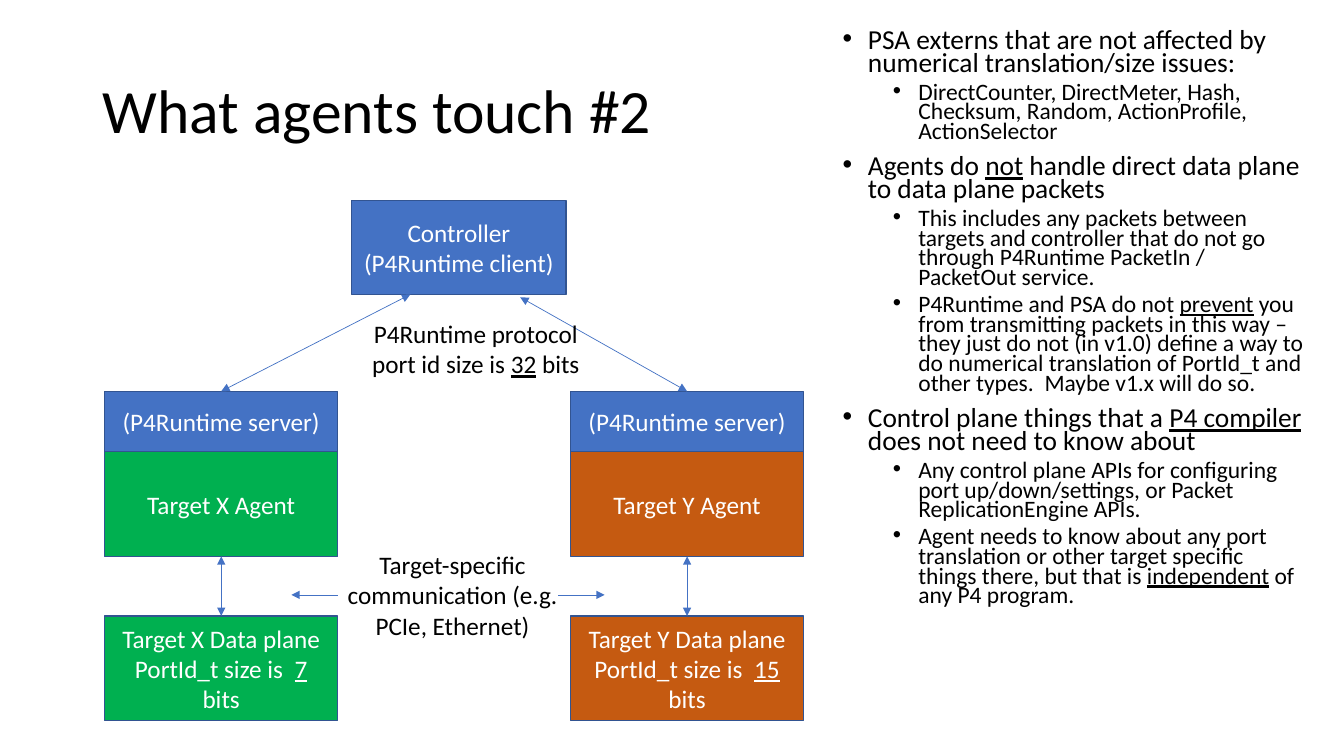
"""Build the slide on what agents touch."""
from dataclasses import dataclass

from lxml.etree import SubElement
from pptx import Presentation
from pptx.dml.color import RGBColor
from pptx.enum.shapes import MSO_CONNECTOR, MSO_SHAPE
from pptx.enum.text import MSO_ANCHOR, MSO_AUTO_SIZE, PP_ALIGN
from pptx.oxml.ns import qn
from pptx.util import Cm, Pt


@dataclass
class Theme:
    font: str = "Calibri"
    black: str = "000000"
    white: str = "FFFFFF"
    blue: str = "4472C4"
    edge: str = "325491"
    green: str = "00B050"
    rust: str = "C55A11"
    head: float = 44
    label: float = 18
    items: tuple = (19.6, 16.8)


class Deck:
    def __init__(self, theme, slide):
        self.theme = theme
        self.slide = slide

    def place(self, shape, area):
        shape.left, shape.top, shape.width, shape.height = map(Cm, area)

    def style(self, par, text, size, color):
        first, *rest = text.split("*")
        par.text = first
        for part in rest:
            par.add_run().text = part
        for i, run in enumerate(par.runs):
            run.font.name = self.theme.font
            run.font.size = Pt(size)
            run.font.color.rgb = RGBColor.from_string(color)
            run.font.underline = i % 2 == 1

    def label(self, frame, text, color):
        frame.word_wrap = True
        frame.vertical_anchor = MSO_ANCHOR.MIDDLE
        frame.text = text
        for par in frame.paragraphs:
            par.alignment = PP_ALIGN.CENTER
            self.style(par, par.text, self.theme.label, color)

    def title(self, text, area):
        shape = self.slide.shapes.title
        self.place(shape, area)
        frame = shape.text_frame
        frame.auto_size = MSO_AUTO_SIZE.NONE
        frame.vertical_anchor = MSO_ANCHOR.MIDDLE
        par = frame.paragraphs[0]
        par.alignment = PP_ALIGN.LEFT
        par.line_spacing = 0.9
        self.style(par, text, self.theme.head, self.theme.black)

    def bullets(self, items, area):
        shape = self.slide.placeholders[1]
        self.place(shape, area)
        frame = shape.text_frame
        frame.auto_size = MSO_AUTO_SIZE.NONE
        frame.text = "\n".join(text for level, text in items)
        for par, (level, text) in zip(frame.paragraphs, items):
            par.level = level
            par.line_spacing = 0.7
            par.space_before = Pt(5 if level else 10)
            self.style(par, text, self.theme.items[level], self.theme.black)
            props = par._p.get_or_add_pPr()
            props.set("marL", str(Cm(0.64 + 1.27 * level)))
            props.set("indent", str(Cm(-0.64)))
            SubElement(props, qn("a:buFont"), typeface="Arial")
            SubElement(props, qn("a:buChar"), char="•")

    def box(self, text, area, color):
        shape = self.slide.shapes.add_shape(MSO_SHAPE.RECTANGLE, *map(Cm, area))
        shape.shadow.inherit = False
        shape.fill.solid()
        shape.fill.fore_color.rgb = RGBColor.from_string(color)
        shape.line.color.rgb = RGBColor.from_string(self.theme.edge)
        shape.line.width = Pt(1)
        self.label(shape.text_frame, text, self.theme.white)

    def note(self, text, area):
        shape = self.slide.shapes.add_textbox(*map(Cm, area))
        self.label(shape.text_frame, text, self.theme.black)

    def arrow(self, start, end, both=True):
        link = self.slide.shapes.add_connector(
            MSO_CONNECTOR.STRAIGHT, *map(Cm, start + end))
        link.line.color.rgb = RGBColor.from_string(self.theme.blue)
        link.line.width = Pt(0.5)
        props = link._element.spPr
        stroke = props.find(qn("a:ln"))
        for tag in ("a:headEnd", "a:tailEnd") if both else ("a:tailEnd",):
            SubElement(stroke, qn(tag), type="triangle")
        SubElement(props, qn("a:effectLst"))


ITEMS = [
    (0, "PSA externs that are not affected by numerical translation/size issues:"),
    (1, "DirectCounter, DirectMeter, Hash, Checksum, Random, ActionProfile, "
        "ActionSelector"),
    (0, "Agents do *not* handle direct data plane to data plane packets"),
    (1, "This includes any packets between targets and controller that do not go "
        "through P4Runtime PacketIn / PacketOut service."),
    (1, "P4Runtime and PSA do not *prevent* you from transmitting packets in this "
        "way – they just do not (in v1.0) define a way to do numerical translation "
        "of PortId_t and other types.  Maybe v1.x will do so."),
    (0, "Control plane things that a *P4 compiler* does not need to know about"),
    (1, "Any control plane APIs for configuring port up/down/settings, or Packet "
        "ReplicationEngine APIs."),
    (1, "Agent needs to know about any port translation or other target specific "
        "things there, but that is *independent* of any P4 program."),
]

theme = Theme()
show = Presentation()
show.slide_width, show.slide_height = Cm(33.87), Cm(19.05)
deck = Deck(theme, show.slides.add_slide(show.slide_layouts[1]))

deck.title("What agents touch #2", (2.33, 1.02, 18.57, 3.68))
deck.bullets(ITEMS, (20.98, 0.66, 12.19, 17.91))
deck.box("Controller\n(P4Runtime client)", (8.86, 5.06, 5.41, 2.36), theme.blue)

WIDE, TALL = 5.87, 2.64
SERVER, AGENT, PLANE = 9.86, 11.38, 15.52
TARGETS = [
    ("X", 7, 2.64, theme.green, (10.34, 7.42)),
    ("Y", 15, 14.38, theme.rust, (13.11, 7.49)),
]
for name, bits, left, color, port in TARGETS:
    mid = left + WIDE / 2
    deck.box("(P4Runtime server)", (left, SERVER, WIDE, AGENT - SERVER), theme.blue)
    deck.box(f"Target {name} Agent", (left, AGENT, WIDE, TALL), color)
    deck.box(f"Target {name} Data plane\nPortId_t size is  *{bits}* bits",
             (left, PLANE, WIDE, TALL), color)
    deck.arrow((mid, SERVER), port)
    deck.arrow((mid, PLANE), (mid, AGENT + TALL))

deck.note("P4Runtime protocol\nport id size is *32* bits", (8.51, 8.03, 6.96, 1.5))
deck.note("Target-specific communication (e.g. PCIe, Ethernet)",
          (8.51, 13.82, 5.79, 2.34))
for start, end in ((8.51, 7.34), (14.07, 15.24)):
    deck.arrow((start, 14.99), (end, 14.99), both=False)

show.save("out.pptx")
